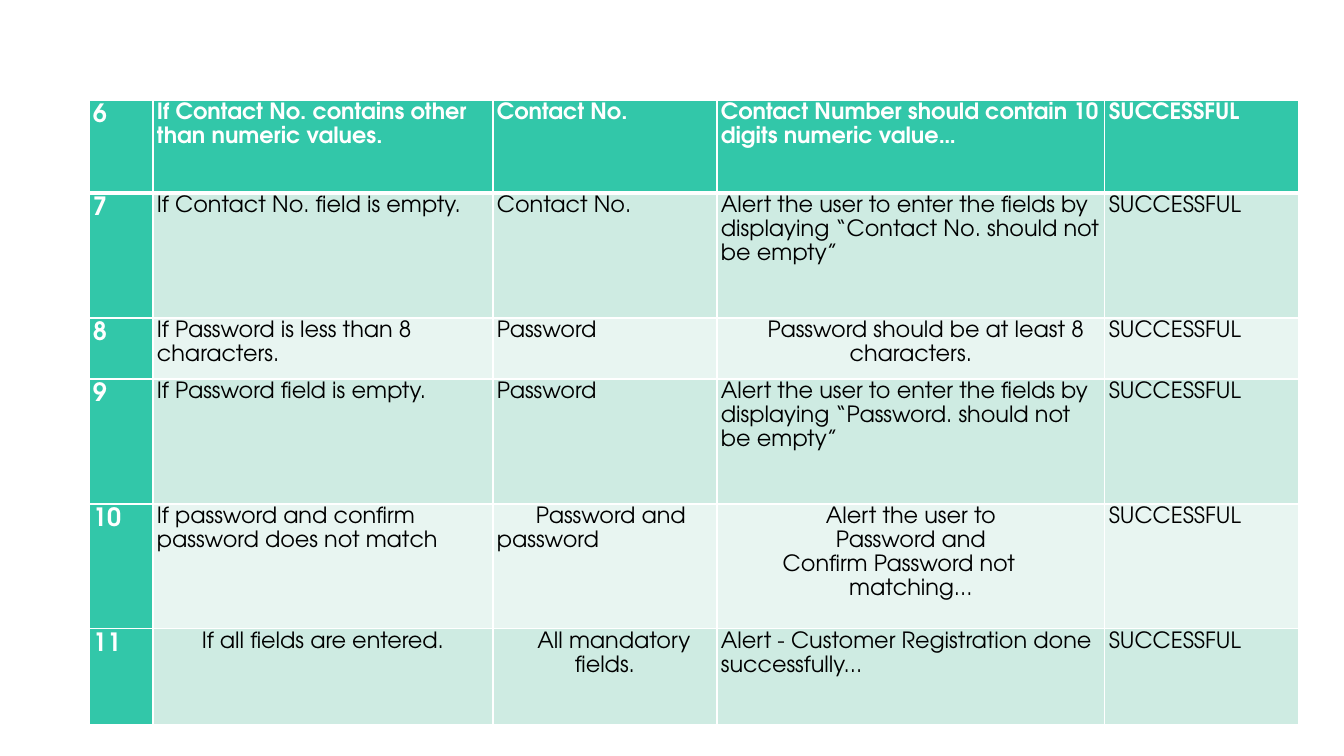
from lxml import etree
from pptx import Presentation, util as u
from pptx.dml.color import RGBColor
from pptx.enum import text
from pptx.oxml.ns import qn

PX = 914400 / 100.8
FONT = "TeX Gyre Adventor"
WHITE = RGBColor(0xFF, 0xFF, 0xFF)
BLACK = RGBColor(0x00, 0x00, 0x00)
GREEN = RGBColor(0x32, 0xC7, 0xA9)
BANDS = [RGBColor(0xE8, 0xF5, 0xF1), RGBColor(0xCE, 0xEB, 0xE2)]


def px(length):
    return u.Emu(round(length * PX))


def add_border(cell, side, points):
    line = etree.SubElement(cell._tc.get_or_add_tcPr(), qn(f"a:{side}"), w=str(u.Pt(points)))
    solid = etree.SubElement(line, qn("a:solidFill"))
    etree.SubElement(solid, qn("a:srgbClr"), val=str(WHITE))


COLUMN_WIDTHS = [64, 340, 224, 388, 194]
ROW_HEIGHTS = [93, 125, 61, 125, 125, 96]
FIRST_NUMBER = 6
RESULT = "SUCCESSFUL"

# Centred lines are (text, left margin, first-line indent, right margin).
TEST_CASES = [
    [["If Contact No. contains other than numeric values."],
     ["Contact No."],
     ["Contact Number should contain 10 digits numeric value…"]],
    [["If Contact No. field is empty."],
     ["Contact No."],
     ["Alert the user to enter the fields by displaying “Contact No. should not be empty”"]],
    [["If Password is less than 8 characters."],
     ["Password"],
     [("Password should be at least 8 characters.", 0, 30, 0)]],
    [["If Password field is empty."],
     ["Password"],
     ["Alert the user to enter the fields by displaying “Password. should not be empty”"]],
    [["If password and confirm password does not match"],
     [("Password and", 0, 12, 0), "password"],
     [("Alert the user to", 0, 0, 0),
      ("Password and", 0, 0, 0),
      ("Confirm Password not\vmatching...", 24, -24, 24)]],
    [[("If all fields are entered.", 0, 0, 0)],
     [("All mandatory fields.", 0, 18, 0)],
     ["Alert - Customer Registration done successfully..."]],
]

deck = Presentation()
deck.slide_width, deck.slide_height = px(1344), px(756)
page = deck.slides.add_slide(deck.slide_layouts[6])

frame = page.shapes.add_table(
    len(ROW_HEIGHTS), len(COLUMN_WIDTHS), px(89), px(100),
    px(sum(COLUMN_WIDTHS)), px(sum(ROW_HEIGHTS)))
table = frame.table
table.first_col = True
for column, width in zip(table.columns, COLUMN_WIDTHS):
    column.width = px(width)

for row_index, (height, test_case) in enumerate(zip(ROW_HEIGHTS, TEST_CASES)):
    table.rows[row_index].height = px(height)
    contents = [[str(FIRST_NUMBER + row_index)], *test_case, [RESULT]]
    for column_index, lines in enumerate(contents):
        cell = table.cell(row_index, column_index)
        heading = row_index == 0 or column_index == 0
        cell.margin_left = cell.margin_right = px(4)
        cell.margin_top = cell.margin_bottom = 0
        add_border(cell, "lnL", 1)
        add_border(cell, "lnR", 1)
        add_border(cell, "lnT", 3 if row_index == 1 else 1)
        add_border(cell, "lnB", 3 if row_index == 0 else 1)
        cell.fill.solid()
        cell.fill.fore_color.rgb = GREEN if heading else BANDS[row_index % 2]
        for line_index, line in enumerate(lines):
            box = cell.text_frame
            para = box.add_paragraph() if line_index else box.paragraphs[0]
            if isinstance(line, tuple):
                line, left, indent, right = line
                para.alignment = text.PP_ALIGN.CENTER
                properties = para._p.get_or_add_pPr()
                properties.set("marL", str(px(left)))
                properties.set("marR", str(px(right)))
                properties.set("indent", str(px(indent)))
            para.text = line
            para.line_spacing = 1.15
            para.font.name = FONT
            para.font.size = u.Pt(16 if column_index else 18)
            para.font.bold = heading
            para.font.color.rgb = WHITE if heading else BLACK

deck.save("out.pptx")
